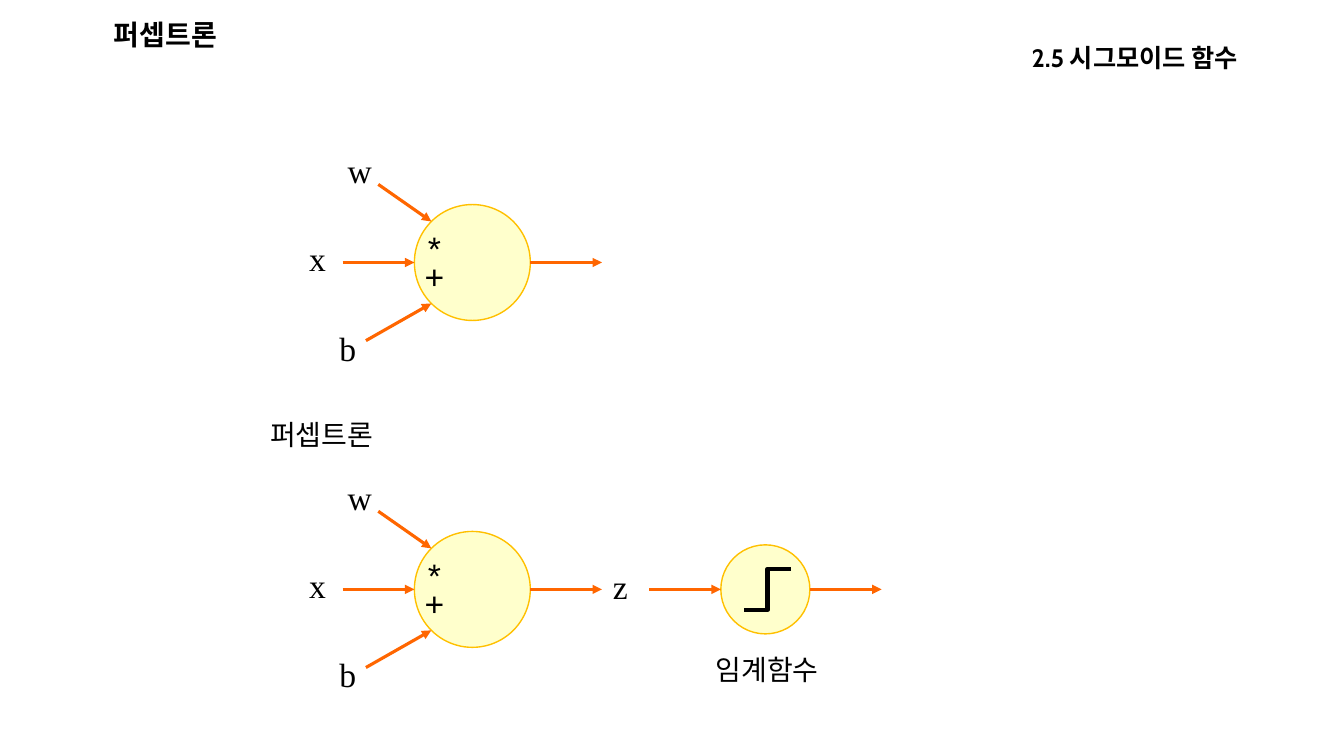
from math import sqrt
from lxml.etree import SubElement
from pptx import Presentation
from pptx.dml.color import RGBColor
from pptx.enum.shapes import MSO_CONNECTOR as LINK, MSO_SHAPE
from pptx.enum.text import MSO_ANCHOR as ANCHOR, MSO_AUTO_SIZE as AUTO, PP_ALIGN as ALIGN
from pptx.oxml.ns import qn
from pptx.util import Pt

BLACK = RGBColor(0x00, 0x00, 0x00)
ORANGE = RGBColor(0xFF, 0x66, 0x00)
GOLD = RGBColor(0xFF, 0xC0, 0x00)
CREAM = RGBColor(0xFF, 0xFF, 0xCC)
SERIF, MONO, HEAD, KOREAN = "Times New Roman", "Courier New", "Cabin", "Noto Sans CJK KR"

# Content: text, then left, top, width, height
TITLE = ("퍼셉트론", (74.2, 6.5, 466.6, 31.7))
SECTION = ("2.5 시그모이드 함수", (509, 21.6, 382.3, 31.7))
CAPTIONS = [("퍼셉트론", (185.8, 294.5, 95, 31.7)),
            ("임계함수", (504, 462.2, 95, 31.7))]

# Neuron parts: text, font, left, top relative to the neuron's axis
NEURON_LABELS = [("w", SERIF, 241.2, -83.8), ("x", SERIF, 213.8, -21.2),
                 ("b", SERIF, 235.4, 42.9),
                 ("*", MONO, 296, -27.7), ("+", MONO, 296, -8.2)]
OUTPUT_LABEL = ("z", SERIF, 430.6, -20)
LABEL_SIZE = (30.2, 36)

AXES = (187.5, 421)
NEURON_X, NEURON_R = 337.4, 41.4
STEP_X, STEP_R = 546.7, 31.8
STEP_HALF_W, STEP_HALF_H = 16.9, 14.7
ARROW = 51.2
INPUT_STARTS = {"w": (270.2, -55.8), "b": (261.4, 55.8)}

prs = Presentation()
prs.slide_width, prs.slide_height = Pt(960), Pt(540)
slide = prs.slides.add_slide(prs.slide_layouts[5])
shapes = slide.shapes


def write(holder, text, box, font, size, bold=False, align=ALIGN.LEFT):
    holder.left, holder.top, holder.width, holder.height = map(Pt, box)
    frame = holder.text_frame
    frame.text = text
    paragraph = frame.paragraphs[0]
    paragraph.alignment = align
    run = paragraph.runs[0]
    run.font.name, run.font.size, run.font.bold = font, Pt(size), bold
    run.font.color.rgb = BLACK
    SubElement(run.font._element, qn("a:ea")).set("typeface", font)
    return frame


def text_box(text, box, *style, wrap=True, **options):
    frame = write(shapes.add_textbox(*map(Pt, box)), text, box, *style, **options)
    frame.word_wrap = wrap
    return frame


def heading(frame):
    frame.auto_size, frame.word_wrap = AUTO.NONE, True
    frame.vertical_anchor = ANCHOR.BOTTOM
    frame.margin_left = frame.margin_right = Pt(7.2)
    frame.margin_top = frame.margin_bottom = Pt(1.4)


def label(axis, text, font, left, top):
    text_box(text, (left, axis + top, *LABEL_SIZE), font, 24)


def circle(x, y, radius):
    disc = shapes.add_shape(MSO_SHAPE.OVAL, Pt(x - radius), Pt(y - radius),
                            Pt(2 * radius), Pt(2 * radius))
    disc.shadow.inherit = False
    disc.fill.solid()
    disc.fill.fore_color.rgb = CREAM
    disc.line.color.rgb, disc.line.width = GOLD, Pt(1)


def connect(kind, start, end, color, width):
    link = shapes.add_connector(kind, *map(Pt, (*start, *end)))
    link.line.color.rgb, link.line.width = color, Pt(width)
    SubElement(link._element.spPr, qn("a:effectLst"))
    return link


def arrow(start, end):
    link = connect(LINK.STRAIGHT, start, end, ORANGE, 2.25)
    SubElement(link.line._get_or_add_ln(), qn("a:tailEnd")).set("type", "triangle")


def through_arrows(x, y, radius):
    """Level arrows into and out of a circle."""
    arrow((x - radius - ARROW, y), (x - radius, y))
    arrow((x + radius, y), (x + radius + ARROW, y))


# Headings
heading(write(shapes.title, *TITLE, HEAD, 20, bold=True))
heading(text_box(*SECTION, HEAD, 18, bold=True, align=ALIGN.RIGHT))

# Neurons with their inputs
diagonal = NEURON_R / sqrt(2)
for axis in AXES:
    circle(NEURON_X, axis, NEURON_R)
    through_arrows(NEURON_X, axis, NEURON_R)
    for x, dy in INPUT_STARTS.values():
        side = diagonal if dy > 0 else -diagonal
        arrow((x, axis + dy), (NEURON_X - diagonal, axis + side))
    for part in NEURON_LABELS:
        label(axis, *part)

# Threshold function after the lower neuron
lower = AXES[1]
label(lower, *OUTPUT_LABEL)
circle(STEP_X, lower, STEP_R)
through_arrows(STEP_X, lower, STEP_R)
step_x = STEP_X + 1.6
connect(LINK.ELBOW, (step_x + STEP_HALF_W, lower - STEP_HALF_H),
        (step_x - STEP_HALF_W, lower + STEP_HALF_H), BLACK, 3)

# Captions
for text, box in CAPTIONS:
    text_box(text, box, KOREAN, 20, wrap=False)

prs.save("out.pptx")
